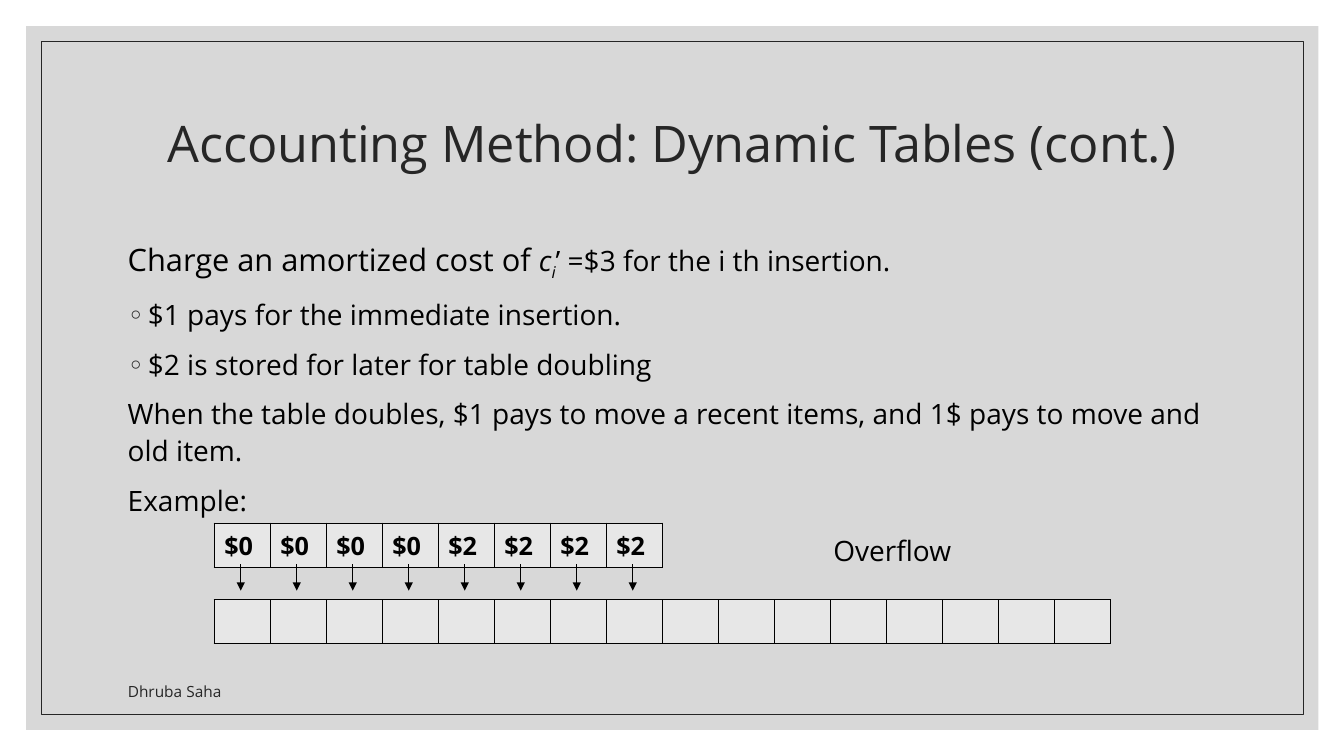
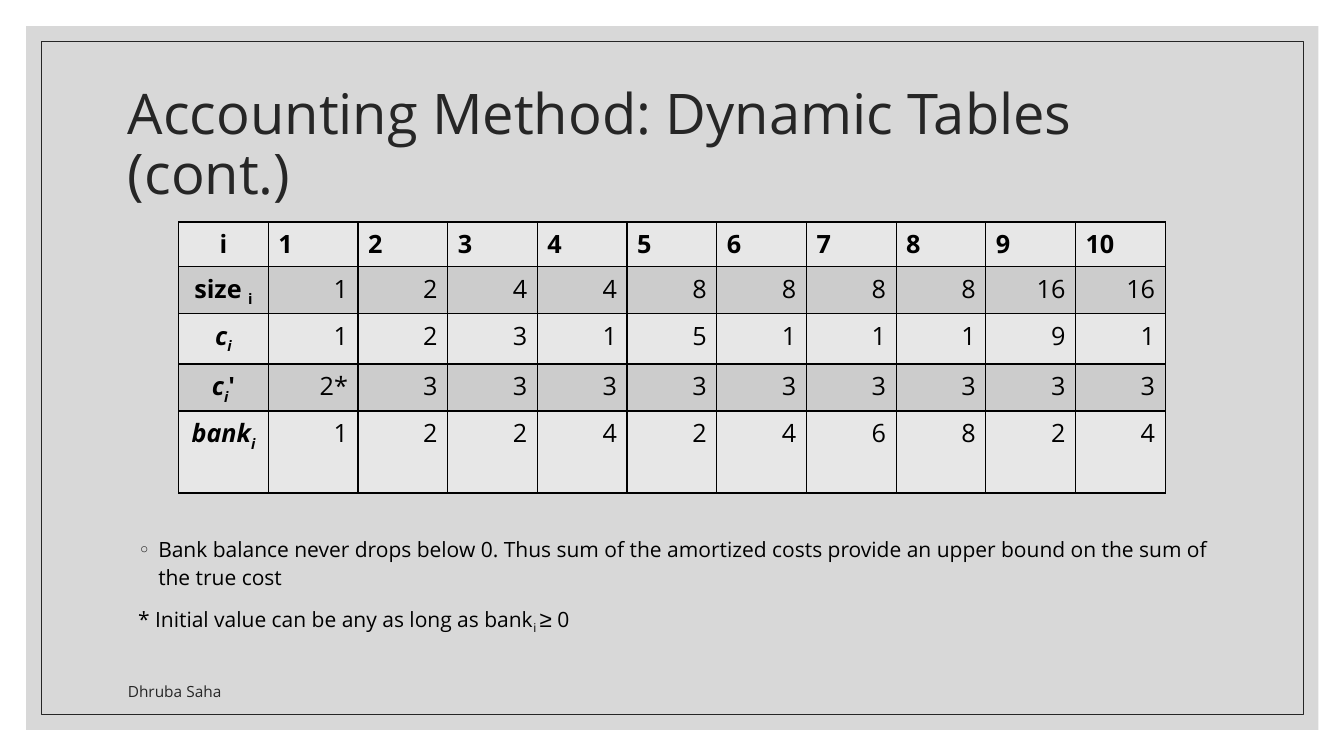
import lxml.etree
import pptx
import pptx.dml.color
import pptx.enum.shapes
import pptx.enum.text
import pptx.oxml.ns
import pptx.util

Pt = pptx.util.Pt
ALIGN = pptx.enum.text.PP_ALIGN
ANCHOR = pptx.enum.text.MSO_ANCHOR
RECTANGLE = pptx.enum.shapes.MSO_SHAPE.RECTANGLE

FONT = "Open Sans"
BLACK, DARK, PANEL = "000000", "262626", "BFBFBF"
LIGHT_CELL, DARK_CELL = "E7E7E7", "CCCCCC"
TITLE = "Accounting Method: Dynamic Tables (cont.)"
AUTHOR = "Dhruba Saha"


def color(hex_string):
    return pptx.dml.color.RGBColor.from_string(hex_string)


def add_xml(parent, tag, **attributes):
    element = lxml.etree.SubElement(parent, pptx.oxml.ns.qn(tag))
    for name, value in attributes.items():
        element.set(name, str(value))
    return element


def place(shape, left, top, width, height):
    shape.left, shape.top = Pt(left), Pt(top)
    shape.width, shape.height = Pt(width), Pt(height)


# Text: a run is (text, marks, size, font); marks are b(old), i(talic), s(ubscript)
def format_run(run, size, marks="", hex_string=BLACK, font=FONT):
    run.font.size = Pt(size)
    run.font.name = font
    run.font.bold = "b" in marks
    run.font.italic = "i" in marks
    run.font.color.rgb = color(hex_string)
    if "s" in marks:
        run._r.get_or_add_rPr().set("baseline", "-25000")


def write_runs(paragraph, runs, size):
    for text, marks, *special in runs:
        run = paragraph.add_run()
        run.text = text
        run_size, font = special or (size, FONT)
        format_run(run, run_size, marks, font=font)


def add_bullet(paragraph):
    properties = paragraph._p.get_or_add_pPr()
    properties.set("marL", str(Pt(14.4)))
    properties.set("indent", str(-Pt(14.4)))
    bullet_color = add_xml(properties, "a:buClr")
    add_xml(bullet_color, "a:srgbClr", val=DARK)
    add_xml(properties, "a:buFont", typeface=FONT)
    add_xml(properties, "a:buChar", char="◦")


def add_text_box(slide, left, top, width, height, anchor=ANCHOR.TOP):
    box = slide.shapes.add_textbox(Pt(left), Pt(top), Pt(width), Pt(height))
    box.text_frame.word_wrap = True
    box.text_frame.vertical_anchor = anchor
    return box.text_frame


def add_body(slide, left, top, height, size, paragraphs):
    """Each paragraph is (bulleted, left indent, runs)."""
    text_frame = add_text_box(slide, left, top, 792, height)
    for index, (bulleted, indent, runs) in enumerate(paragraphs):
        paragraph = text_frame.add_paragraph() if index else text_frame.paragraphs[0]
        paragraph.line_spacing = 1.1
        paragraph.space_before = Pt(9)
        if bulleted:
            add_bullet(paragraph)
        elif indent:
            paragraph._p.get_or_add_pPr().set("marL", str(Pt(indent)))
        write_runs(paragraph, runs, size)


# Shared slide parts
def add_frame(slide):
    """Draw the grey panel and its thin border behind everything else."""
    panel = slide.shapes.add_shape(RECTANGLE, Pt(18.7), Pt(18.7), Pt(923), Pt(502.6))
    panel.fill.solid()
    panel.fill.fore_color.rgb = color(PANEL)
    fill_color = panel._element.spPr.find(".//" + pptx.oxml.ns.qn("a:srgbClr"))
    add_xml(fill_color, "a:alpha", val=60000)
    panel.line.fill.background()

    border = slide.shapes.add_shape(RECTANGLE, Pt(29.5), Pt(29.5), Pt(901.4), Pt(481))
    border.fill.background()
    border.line.color.rgb = color(DARK)
    border.line.width = Pt(0.5)

    for index, shape in enumerate((panel, border)):
        shape.shadow.inherit = False
        slide.shapes._spTree.insert(2 + index, shape._element)


def set_title(slide, width, size, alignment):
    title = slide.shapes.title
    place(title, 84.2, 50.4, width, 108)
    text_frame = title.text_frame
    text_frame.text = TITLE
    text_frame.word_wrap = True
    text_frame.auto_size = pptx.enum.text.MSO_AUTO_SIZE.NONE
    text_frame.vertical_anchor = ANCHOR.MIDDLE
    paragraph = text_frame.paragraphs[0]
    paragraph.alignment = alignment
    paragraph.line_spacing = 0.9
    format_run(paragraph.runs[0], size, hex_string=DARK)


def add_footer(slide):
    text_frame = add_text_box(slide, 84.2, 475.2, 458, 28.8, ANCHOR.BOTTOM)
    text_frame.text = AUTHOR
    format_run(text_frame.paragraphs[0].runs[0], 11, hex_string=DARK)


# Tables and arrows
def set_borders(cell):
    properties = cell._tc.get_or_add_tcPr()
    for index, side in enumerate(("a:lnL", "a:lnR", "a:lnT", "a:lnB")):
        line = add_xml(properties, side, w=Pt(1))
        add_xml(add_xml(line, "a:solidFill"), "a:srgbClr", val=BLACK)
        properties.insert(index, line)


def add_grid(slide, left, top, column_width, row_heights, rows):
    """Each cell is (alignment, runs); rows alternate between two greys."""
    column_count = len(rows[0])
    table = slide.shapes.add_table(
        len(rows), column_count, Pt(left), Pt(top),
        Pt(column_width * column_count), Pt(sum(row_heights))).table
    table.first_row = table.horz_banding = False
    for column in table.columns:
        column.width = Pt(column_width)
    for row_index, cells in enumerate(rows):
        table.rows[row_index].height = Pt(row_heights[row_index])
        for column_index, (alignment, runs) in enumerate(cells):
            cell = table.cell(row_index, column_index)
            cell.fill.solid()
            cell.fill.fore_color.rgb = color(DARK_CELL if row_index % 2 else LIGHT_CELL)
            set_borders(cell)
            paragraph = cell.text_frame.paragraphs[0]
            paragraph.alignment = alignment
            write_runs(paragraph, runs, 18)


def add_down_arrow(slide, x, top, bottom):
    arrow = slide.shapes.add_connector(
        pptx.enum.shapes.MSO_CONNECTOR.STRAIGHT, Pt(x), Pt(top), Pt(x), Pt(bottom))
    arrow.line.color.rgb = color(BLACK)
    arrow.line.width = Pt(0.5)
    line = arrow._element.spPr.find(pptx.oxml.ns.qn("a:ln"))
    add_xml(line, "a:tailEnd", type="triangle")
    add_xml(arrow._element.spPr, "a:effectLst")


# Slides
def build_overflow_slide(slide):
    add_frame(slide)
    set_title(slide, 792, 36, ALIGN.CENTER)
    add_body(slide, 84.2, 165.6, 303, 20, [
        (False, 0, [("Charge an amortized cost of ", "", 22, FONT), ("c", "i"),
                    ("i", "is"), ("’ =$3 for the i th insertion.", "")]),
        (True, 0, [("$1 pays for the immediate insertion.", "")]),
        (True, 0, [("$2 is stored for later for table doubling", "")]),
        (False, 0, [("When the table doubles, $1 pays to move a recent items, "
                     "and 1$ pays to move and old item.", "")]),
        (False, 0, [("Example:", "")]),
        (False, 504, [("Overflow", "")]),
    ])
    add_footer(slide)

    left, cell_width, cell_height = 153, 40, 31.5
    credits = ["$0"] * 4 + ["$2"] * 4
    full_table = [(ALIGN.LEFT, [(credit, "b")]) for credit in credits]
    doubled_table = [(ALIGN.LEFT, [])] * (2 * len(credits))
    add_grid(slide, left, 373.7, cell_width, [cell_height], [full_table])
    add_grid(slide, left, 428.4, cell_width, [cell_height], [doubled_table])
    for index in range(len(credits)):
        add_down_arrow(slide, left - 1 + cell_width * (index + 0.5), 403.2, 421.9)


def build_bank_slide(slide):
    add_frame(slide)
    set_title(slide, 807, 40, ALIGN.LEFT)
    add_body(slide, 91.6, 378, 80.6, 15, [
        (True, 0, [("Bank balance never drops below 0. Thus sum of the amortized costs "
                    "provide an upper bound on the sum of the true cost", "")]),
        (False, 0, [("* Initial value can be any as long as bank", ""), ("i ", "s"),
                    ("≥", "", 16, "Arial"), (" 0", "")]),
    ])

    header = [(ALIGN.CENTER, [("i", "b")])]
    header += [(ALIGN.LEFT, [(str(number), "b")]) for number in range(1, 11)]
    series = [
        ([("size ", "b"), ("i", "bs")], "1 2 4 4 8 8 8 8 16 16"),
        ([("c", "bi"), ("i", "bis")], "1 2 3 1 5 1 1 1 9 1"),
        ([("c", "bi"), ("i", "bis"), ("'", "b")], "2* 3 3 3 3 3 3 3 3 3"),
        ([("bank", "bi"), ("i", "bis")], "1 2 2 4 2 4 6 8 2 4"),
    ]
    rows = [header]
    for label, values in series:
        rows.append([(ALIGN.CENTER, label)]
                    + [(ALIGN.RIGHT, [(value, "")]) for value in values.split()])
    add_grid(slide, 127.6, 158.6, 64.08, [31.5, 34, 35.9, 33.6, 58.6], rows)
    add_footer(slide)


def main():
    presentation = pptx.Presentation()
    presentation.slide_width, presentation.slide_height = Pt(960), Pt(540)
    layout = presentation.slide_layouts[5]
    for build_slide in (build_overflow_slide, build_bank_slide):
        build_slide(presentation.slides.add_slide(layout))
    presentation.save("out.pptx")


main()
